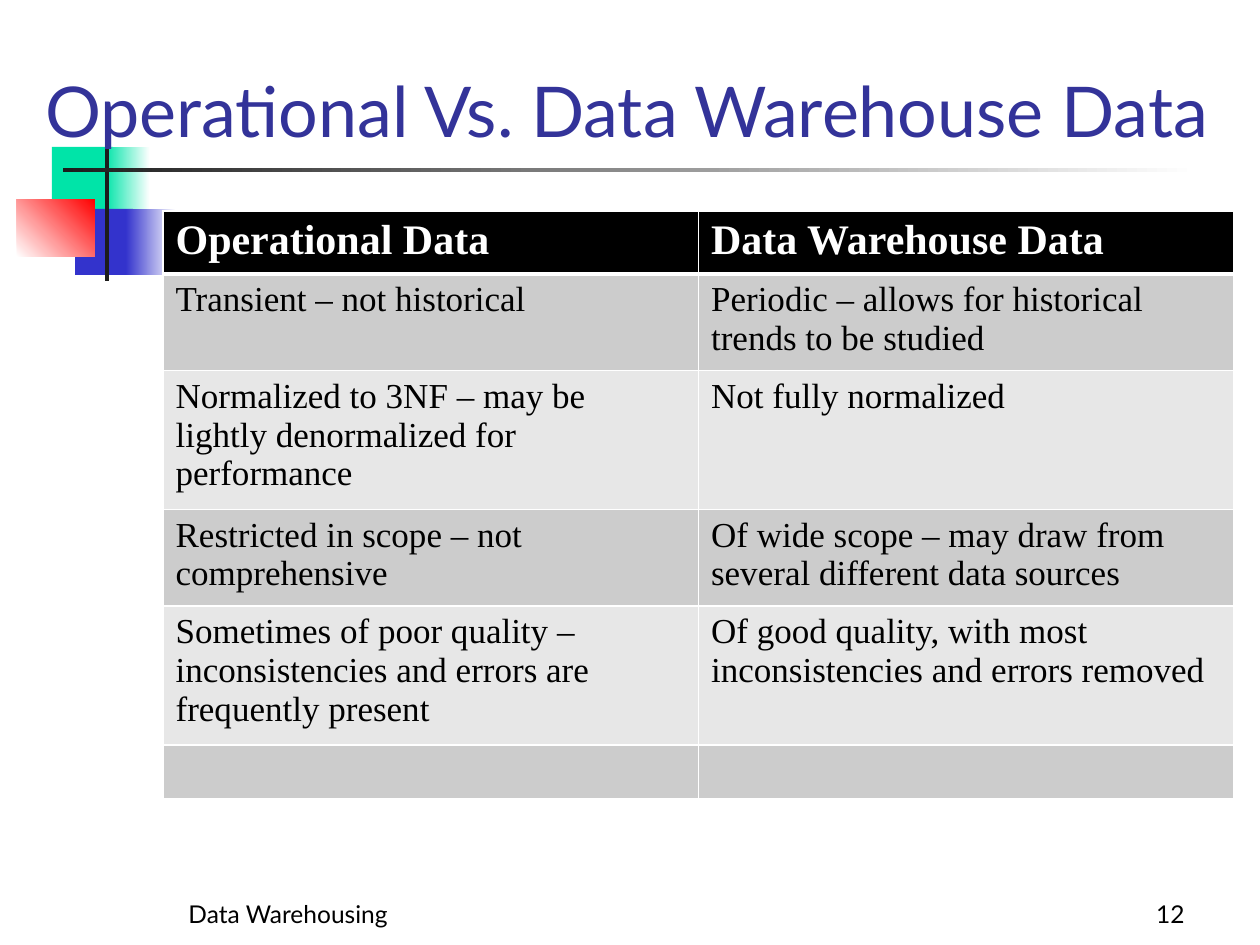
from lxml.etree import SubElement
from pptx import Presentation
from pptx.dml.color import RGBColor
from pptx.enum.shapes import MSO_SHAPE
from pptx.enum.text import MSO_ANCHOR, PP_ALIGN
from pptx.oxml.ns import qn
from pptx.util import Emu, Pt

PX = 914400 / 126
WHITE = RGBColor(0xFF, 0xFF, 0xFF)
BLACK = RGBColor(0x00, 0x00, 0x00)
GREEN = RGBColor(0x00, 0xE4, 0xA8)
BLUE = RGBColor(0x33, 0x33, 0xCC)
RED = RGBColor(0xFF, 0x00, 0x00)
INK = RGBColor(0x1C, 0x1C, 0x1C)
TITLE = RGBColor(0x33, 0x33, 0x99)
BAND_DARK = RGBColor(0xCC, 0xCC, 0xCC)
BAND_LIGHT = RGBColor(0xE7, 0xE7, 0xE7)


def px(*lengths):
    return [Emu(round(length * PX)) for length in lengths]


def add_span(para, text, color, **font_values):
    span = para.add_run()
    span.text = text
    span.font.color.rgb = color
    for name, value in font_values.items():
        setattr(span.font, name, value)


deck = Presentation()
deck.slide_width, deck.slide_height = px(1260, 945)
page = deck.slides.add_slide(deck.slide_layouts[6])

# Corner ornament: place, start colour, end colour (None for solid), angle
ornament = [
    ((52, 147, 61, 66), GREEN, None, 0),
    ((105, 147, 45, 66), GREEN, WHITE, 0),
    ((75, 209, 58, 66), BLUE, None, 0),
    ((126, 209, 50, 66), BLUE, WHITE, 0),
    ((17, 199, 78, 58), WHITE, RED, 45),
    ((105, 136, 4, 145), INK, None, 0),
    ((63, 168, 1134, 4), INK, WHITE, 0),
]
for place, start, end, angle in ornament:
    block = page.shapes.add_shape(MSO_SHAPE.RECTANGLE, *px(*place))
    block.shadow.inherit = False
    block.line.fill.background()
    if end is None:
        block.fill.solid()
        block.fill.fore_color.rgb = start
    else:
        block.fill.gradient()
        block.fill.gradient_angle = angle
        for stop, color, position in zip(block.fill.gradient_stops, (start, end), (0, 1)):
            stop.color.rgb = color
            stop.position = position

# Title, footer and page number
texts = [
    ((33, 0, 1198, 158), "Operational Vs. Data Warehouse Data", 40, TITLE, PP_ALIGN.LEFT),
    ((176, 872, 400, 63), "Data Warehousing", 14, BLACK, PP_ALIGN.LEFT),
    ((935, 872, 262, 63), "12", 14, BLACK, PP_ALIGN.RIGHT),
]
for place, text, size, color, alignment in texts:
    box = page.shapes.add_textbox(*px(*place))
    frame_format = {"word_wrap": True, "vertical_anchor": MSO_ANCHOR.BOTTOM}
    for name, value in frame_format.items():
        setattr(box.text_frame, name, value)
    para = box.text_frame.paragraphs[0]
    para.alignment = alignment
    add_span(para, text, color, name="Lato", size=Pt(size))

# Comparison table
rows = [
    (58, "Operational Data", "Data Warehouse Data"),
    (90, "Transient – not historical",
     "Periodic – allows for historical trends to be studied"),
    (129, "Normalized to 3NF – may be lightly denormalized for performance",
     "Not fully normalized"),
    (90, "Restricted in scope – not comprehensive",
     "Of wide scope – may draw from several different data sources"),
    (129, "Sometimes of poor quality – inconsistencies and errors are frequently present",
     "Of good quality, with most inconsistencies and errors removed"),
    (54, "", ""),
]
table_height = sum(row[0] for row in rows)
table = page.shapes.add_table(len(rows), 2, *px(163, 211, 1071, table_height)).table
for row_index, (height, *labels) in enumerate(rows):
    table.rows[row_index].height = px(height)[0]
    header = row_index == 0
    band = BLACK if header else (BAND_LIGHT, BAND_DARK)[row_index % 2]
    for column_index, label in enumerate(labels):
        cell = table.cell(row_index, column_index)
        if label:
            add_span(cell.text_frame.paragraphs[0], label, WHITE if header else BLACK,
                     name="Times New Roman", size=Pt(24 if header else 20), bold=header)
        properties = cell._tc.get_or_add_tcPr()
        widths = {"lnL": 1, "lnR": 1, "lnT": 3 if row_index == 1 else 1, "lnB": 3 if header else 1}
        for edge, width in widths.items():
            line = SubElement(properties, qn(f"a:{edge}"), w=str(Pt(width)))
            SubElement(SubElement(line, qn("a:solidFill")), qn("a:srgbClr"), val=str(WHITE))
        cell.fill.solid()
        cell.fill.fore_color.rgb = band

deck.save("out.pptx")
